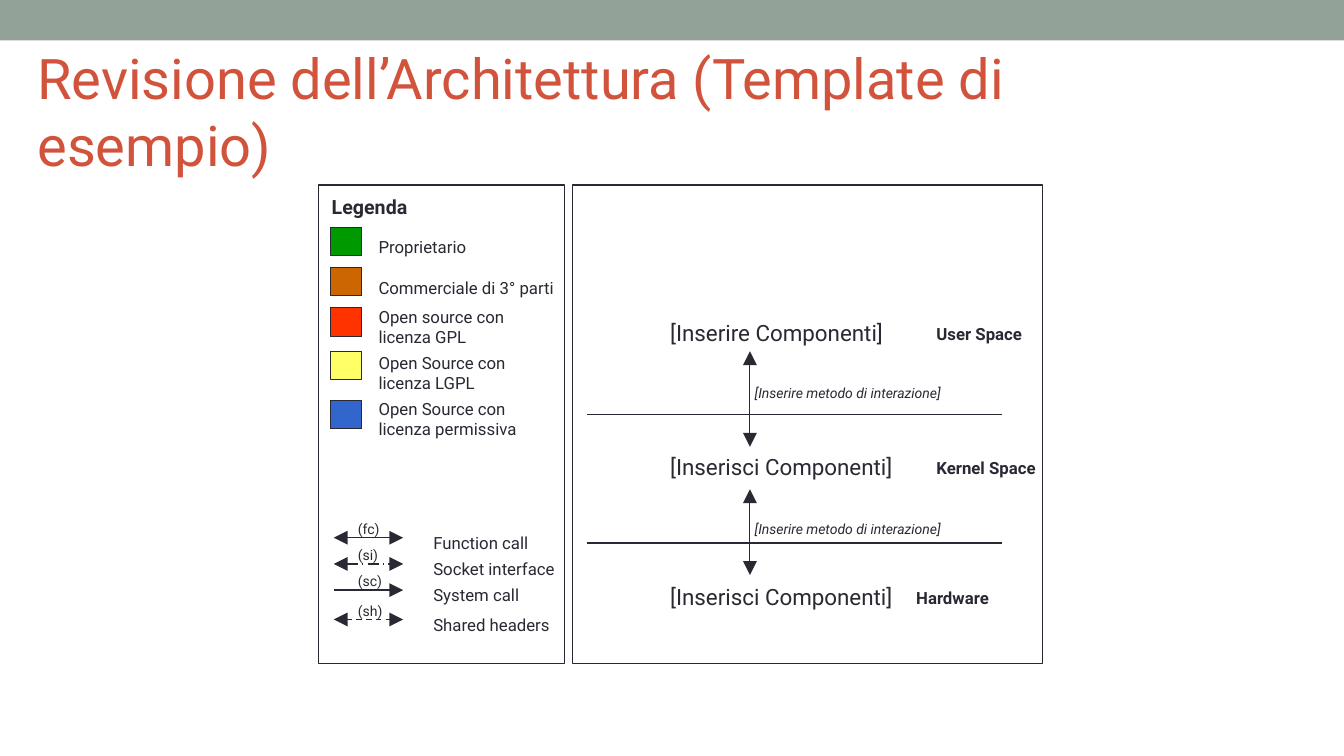
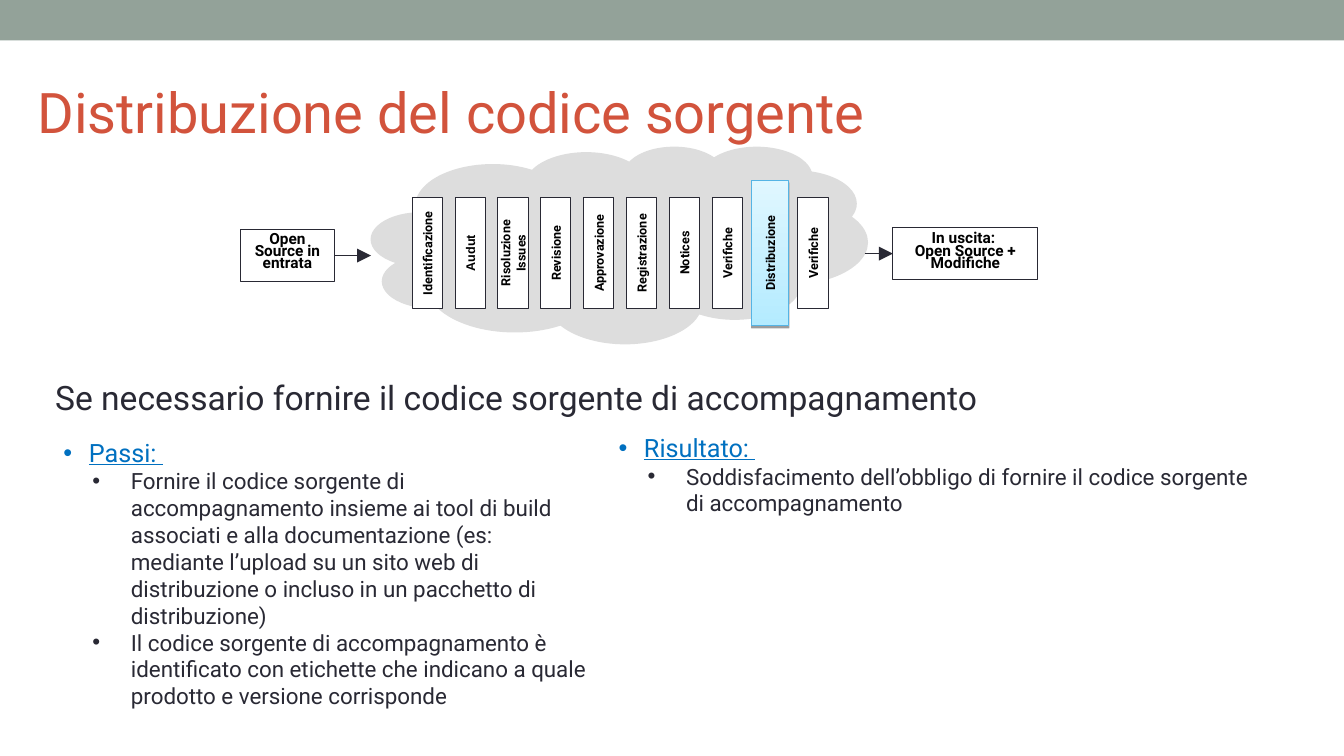
from lxml import etree
from pptx import Presentation
from pptx.dml.color import RGBColor
from pptx.enum.dml import MSO_LINE
from pptx.enum.shapes import MSO_CONNECTOR, MSO_SHAPE
from pptx.enum.text import MSO_ANCHOR, MSO_AUTO_SIZE, PP_ALIGN
from pptx.oxml.ns import qn
from pptx.util import Cm, Pt

RECTANGLE, CLOUD = MSO_SHAPE.RECTANGLE, MSO_SHAPE.CLOUD_CALLOUT
STRAIGHT = MSO_CONNECTOR.STRAIGHT
DASH, LONG_DASH_DOT = MSO_LINE.DASH, MSO_LINE.LONG_DASH_DOT
LEFT, CENTER = PP_ALIGN.LEFT, PP_ALIGN.CENTER
TOP, MIDDLE = MSO_ANCHOR.TOP, MSO_ANCHOR.MIDDLE
SIDE_LEFT, SIDE_RIGHT = 1, 3
TITLE_ONLY = 5

WIDTH, HEIGHT = 33.87, 19.05
FONT = "Roboto"
BAND, TITLE, INK, BLUE = "93A299", "D2533C", "292934", "0070C0"
BLACK, WHITE, CLOUD_GREY = "000000", "FFFFFF", "DDDDDD"
GLOW_TOP, GLOW_BOTTOM, GLOW_LINE = "E0F7FF", "B4EBFF", "55B4E5"

LICENCES = [  # colour, swatch top, label top, label
    ("009900", 1.07, 1.19, "Proprietario"),
    ("CC6600", 2.08, 2.21, "Commerciale di 3° parti"),
    ("FF3300", 3.1, 2.95, "Open source con licenza GPL"),
    ("FFFF66", 4.19, 4.11, "Open Source con licenza LGPL"),
    ("3366CC", 5.44, 5.26, "Open Source con licenza permissiva"),
]
CALLS = [  # height of the arrow, code, label, two heads, dash
    (8.89, "(fc)", "Function call", True, None),
    (9.55, "(si)", "Socket interface", True, LONG_DASH_DOT),
    (10.21, "(sc)", "System call", False, None),
    (10.95, "(sh)", "Shared headers", True, DASH),
]
SPACES = [  # top, component, left of the space name, space name
    (3.25, "[Inserire Componenti]", 8.92, "User Space"),
    (6.63, "[Inserisci Componenti]", 8.92, "Kernel Space"),
    (9.9, "[Inserisci Componenti]", 8.41, "Hardware"),
]
INTERACTIONS = [  # divider, arrow start, arrow end, label top
    (5.79, 4.19, 6.6, 4.9),
    (9.02, 7.67, 9.83, 8.33),
]
STEPS = ["Identificazione", "Audut", "Risoluzione Issues", "Revisione",
         "Approvazione", "Registrazione", "Notices", "Verifiche",
         "Distribuzione", "Verifiche"]
CURRENT_STEP = "Distribuzione"


def rgb(value):
    return RGBColor.from_string(value)


def style(paragraph, size, color=INK, bold=None, italic=None, font=FONT):
    paragraph.font.name = font
    paragraph.font.size = Pt(size)
    paragraph.font.color.rgb = rgb(color)
    paragraph.font.bold = bold
    paragraph.font.italic = italic


def add_label(slide, left, top, width, height, text, size, **look):
    box = slide.shapes.add_textbox(Cm(left), Cm(top), Cm(width), Cm(height))
    box.text_frame.word_wrap = True
    paragraph = box.text_frame.paragraphs[0]
    paragraph.text = text
    style(paragraph, size, **look)


def add_box(slide, left, top, width, height, fill=None, line=INK,
            weight=0.75, kind=RECTANGLE):
    shape = slide.shapes.add_shape(kind, Cm(left), Cm(top), Cm(width), Cm(height))
    shape.shadow.inherit = False
    if fill:
        shape.fill.solid()
        shape.fill.fore_color.rgb = rgb(fill)
    else:
        shape.fill.background()
    if line:
        shape.line.color.rgb = rgb(line)
        shape.line.width = Pt(weight)
    else:
        shape.line.fill.background()
    return shape


def add_line(slide, start, end, weight=1, heads=(), dash=None):
    """heads holds "headEnd", "tailEnd", both or neither, in that order."""
    connector = slide.shapes.add_connector(
        STRAIGHT, *[Cm(value) for value in (*start, *end)])
    connector.line.color.rgb = rgb(INK)
    connector.line.width = Pt(weight)
    if dash:
        connector.line.dash_style = dash
    properties = connector.element.spPr
    outline = properties.find(qn("a:ln"))
    for head in heads:
        etree.SubElement(outline, qn(f"a:{head}"), type="triangle", w="lg", len="lg")
    etree.SubElement(properties, qn("a:effectLst"))
    return connector


def add_band_to_master(presentation, slide):
    band = add_box(slide, 0, 0, WIDTH, 1.02, BAND, None)
    presentation.slide_master.shapes.element.insert(2, band.element)


def add_titled_slide(presentation, text):
    slide = presentation.slides.add_slide(presentation.slide_layouts[TITLE_ONLY])
    title = slide.shapes.title
    title.left, title.top = Cm(0.69), Cm(1.42)
    title.width, title.height = Cm(30.48), Cm(2.74)
    frame = title.text_frame
    frame.text = text
    frame.auto_size = MSO_AUTO_SIZE.NONE
    frame.vertical_anchor = MIDDLE
    frame.paragraphs[0].alignment = LEFT
    style(frame.paragraphs[0], 40, TITLE)
    return slide


def add_legend(slide, left, top, width, height):
    add_box(slide, left, top, width, height, weight=1)
    add_label(slide, left + 0.08, top + 0.13, 4, 0.84, "Legenda", 14, bold=True)
    for color, swatch_top, label_top, label in LICENCES:
        add_box(slide, left + 0.3, top + swatch_top, 0.79, 0.71, color)
        add_label(slide, left + 1.26, top + label_top, 5, 0.8, label, 12)
    for offset, code, label, both, dash in CALLS:
        y = top + offset
        heads = ("headEnd", "tailEnd") if both else ("tailEnd",)
        add_line(slide, (left + 0.38, y), (left + 2.13, y), heads=heads, dash=dash)
        add_label(slide, left + 0.74, y - 0.56, 1.3, 0.69, code, 10)
        add_label(slide, left + 2.64, y - 0.25, 3.6, 0.76, label, 12)


def add_architecture(slide, left, top, width, height):
    add_box(slide, left, top, width, height, weight=1)
    for offset, component, name_left, name in SPACES:
        add_label(slide, left + 2.21, top + offset, 6.6, 0.8, component, 16)
        add_label(slide, left + name_left, top + offset + 0.12, 3.3, 0.76,
                  name, 12, bold=True)
    arrow_x = left + 4.47
    for divider, start, end, label_top in INTERACTIONS:
        add_line(slide, (left + 0.36, top + divider), (left + 10.82, top + divider))
        add_line(slide, (arrow_x, top + start), (arrow_x, top + end), 0.75,
                 ("headEnd", "tailEnd"))
        add_label(slide, left + 4.34, top + label_top, 5.5, 0.69,
                  "[Inserire metodo di interazione]", 10, italic=True)


def highlight(shape):
    """Give the current step a blue gradient and a short shadow below."""
    shape.fill.gradient()
    shape.fill.gradient_angle = 270
    for stop, color in zip(shape.fill.gradient_stops, (GLOW_TOP, GLOW_BOTTOM)):
        stop.color.rgb = rgb(color)
    shape.line.color.rgb = rgb(GLOW_LINE)
    effects = shape.element.spPr.find(qn("a:effectLst"))
    shadow = etree.SubElement(effects, qn("a:outerShdw"), dist=str(Pt(1.6)),
                              dir="5400000", rotWithShape="0")
    color = etree.SubElement(shadow, qn("a:srgbClr"), val=BLACK)
    etree.SubElement(color, qn("a:alpha"), val="38000")


def add_step(slide, center_x, center_y, text):
    current = text == CURRENT_STEP
    width, height = (0.94, 3.66) if current else (0.76, 2.79)
    shape = add_box(slide, center_x - width / 2, center_y - height / 2,
                    width, height, WHITE)
    if current:
        highlight(shape)
    frame = shape.text_frame
    frame.margin_left = frame.margin_right = Cm(0.13)
    frame.margin_top = frame.margin_bottom = Cm(0.25)
    frame.vertical_anchor = MIDDLE
    shape.element.txBody.bodyPr.set("vert", "vert270")
    paragraph = frame.paragraphs[0]
    paragraph.text = text
    paragraph.alignment = CENTER
    style(paragraph, 9, BLACK, bold=True, font="Arial" if text == "Audut" else FONT)


def add_end_box(slide, left, top, width, lines, spacing):
    shape = add_box(slide, left, top, width, 1.3, WHITE)
    frame = shape.text_frame
    frame.vertical_anchor = TOP
    frame.text = "\n".join(lines)
    for paragraph in frame.paragraphs:
        paragraph.alignment = CENTER
        paragraph.line_spacing = spacing
        style(paragraph, 11, BLACK, bold=True)
    return shape


def add_process(slide, left, top):
    cloud_left = left + 3.3
    cloud = add_box(slide, cloud_left, top, 12.52, 4.98, CLOUD_GREY, None, kind=CLOUD)
    cloud.adjustments[0], cloud.adjustments[1] = -0.246, 0.157
    for index, step in enumerate(STEPS):
        add_step(slide, cloud_left + 1.42 + 1.08 * index, top + 2.7, step)

    source = add_end_box(slide, left, top + 2.11, 2.39,
                         ["Open", "Source in entrata"], 0.65)
    result = add_end_box(slide, left + 16.45, top + 2.06, 3.66,
                         ["In uscita: ", "Open Source + Modifiche"], 0.7)
    source_y, result_y = top + 2.76, top + 2.71
    entry = add_line(slide, (left + 2.39, source_y), (cloud_left, source_y),
                     0.75, ("tailEnd",))
    entry.begin_connect(source, SIDE_RIGHT)
    leaving = add_line(slide, (left + 15.74, result_y), (left + 16.45, result_y),
                       0.75, ("tailEnd",))
    leaving.end_connect(result, SIDE_LEFT)


def add_bullet(paragraph, margin, indent, color):
    properties = paragraph._p.get_or_add_pPr()
    properties.set("marL", str(Cm(margin)))
    properties.set("indent", str(Cm(indent)))
    bullet_color = etree.SubElement(properties, qn("a:buClr"))
    etree.SubElement(bullet_color, qn("a:srgbClr"), val=color)
    etree.SubElement(properties, qn("a:buFont"), typeface="Arial")
    etree.SubElement(properties, qn("a:buChar"), char="•")


def add_bullet_list(slide, left, top, width, height, heading, items):
    box = slide.shapes.add_textbox(Cm(left), Cm(top), Cm(width), Cm(height))
    frame = box.text_frame
    frame.word_wrap = True
    frame.text = "\n".join([heading, *items])
    first, *others = frame.paragraphs
    add_bullet(first, 0.64, -0.64, BLUE)
    first.line_spacing = 0.9
    style(first, 18, BLUE)
    first.font.underline = True
    for paragraph in others:
        add_bullet(paragraph, 1.7, -0.97, INK)
        style(paragraph, 16)


def build_architecture_slide(presentation):
    slide = add_titled_slide(
        presentation, "Revisione dell’Architettura (Template di esempio)")
    add_band_to_master(presentation, slide)
    add_legend(slide, 8.03, 4.66, 6.2, 12.06)
    add_architecture(slide, 14.43, 4.66, 11.84, 12.06)


def build_distribution_slide(presentation):
    slide = add_titled_slide(presentation, "Distribuzione del codice sorgente")
    add_process(slide, 6.05, 3.68)
    add_label(slide, 1.14, 9.37, 32, 1.27,
              "Se necessario fornire il codice sorgente di accompagnamento", 24)
    add_bullet_list(slide, 1.35, 10.97, 13.72, 7.7, "Passi: ", [
        "Fornire il codice sorgente di accompagnamento insieme ai tool di build "
        "associati e alla documentazione (es: mediante l’upload su un sito web di "
        "distribuzione o incluso in un pacchetto di distribuzione)",
        "Il codice sorgente di accompagnamento è identificato con etichette che "
        "indicano a quale prodotto e versione corrisponde"])
    add_bullet_list(slide, 15.34, 10.85, 16.79, 6.4, "Risultato: ", [
        "Soddisfacimento dell’obbligo di fornire il codice sorgente di "
        "accompagnamento"])


def main():
    presentation = Presentation()
    presentation.slide_width, presentation.slide_height = Cm(WIDTH), Cm(HEIGHT)
    build_architecture_slide(presentation)
    build_distribution_slide(presentation)
    presentation.save("out.pptx")


if __name__ == "__main__":
    main()
